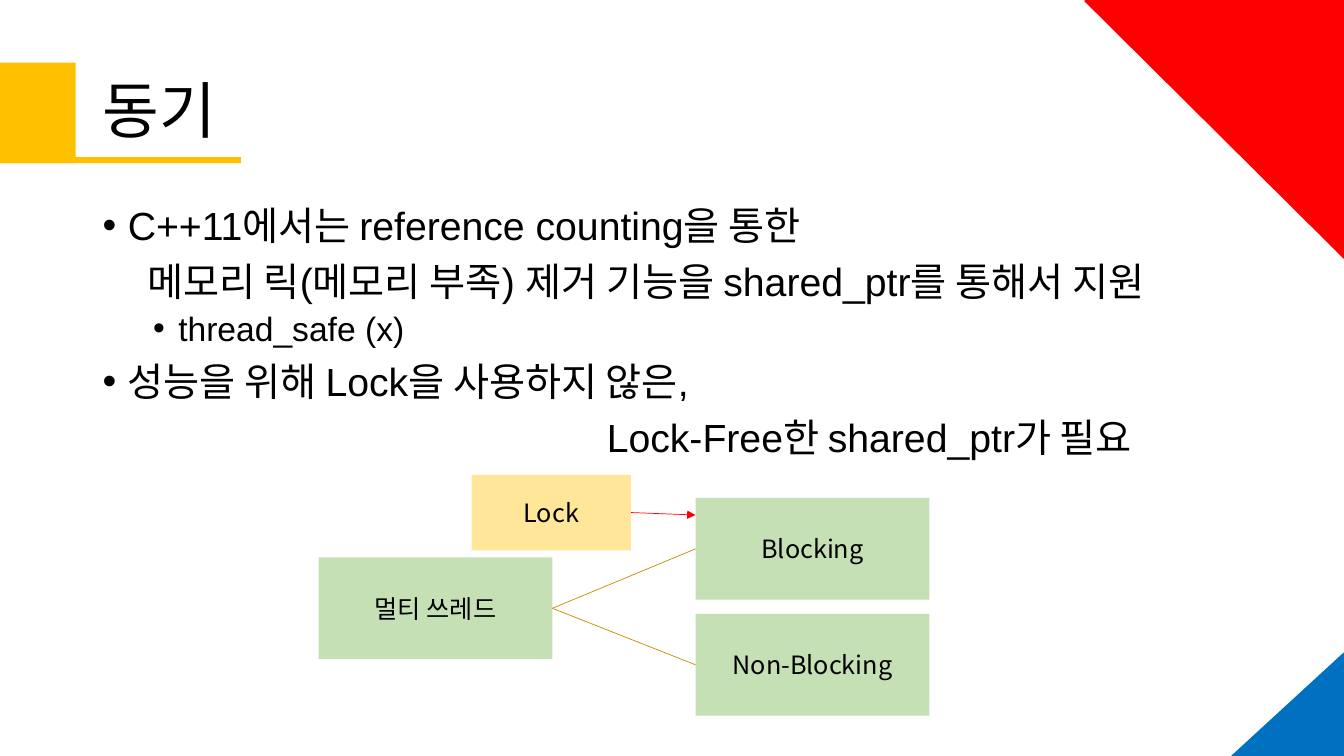
from dataclasses import dataclass
from lxml.etree import SubElement
from pptx import Presentation
from pptx.dml.color import RGBColor
from pptx.enum.shapes import MSO_CONNECTOR, MSO_SHAPE
from pptx.enum.text import MSO_ANCHOR, PP_ALIGN
from pptx.oxml.ns import qn
from pptx.util import Inches, Pt


@dataclass(frozen=True)
class Theme:
    gold: str = "FFC000"
    sand: str = "FFE699"
    green: str = "C5E0B4"
    blue: str = "0070C0"
    red: str = "FF0000"
    brown: str = "BF9000"
    ink: str = "000000"
    latin: str = "Arial"
    hangul: str = "Noto Sans CJK KR"
    head: int = 44
    main: int = 28
    sub: int = 24
    label: int = 18


T = Theme()
WIDE, HIGH = Inches(13.33), Inches(7.5)

TITLE = "동기"
TITLE_AT = (6.9, 5.33, 86.27, 19.33)
BODY_AT = (6.9, 26.67, 86.27, 63.47)
BODY = [
    ("C++11에서는 reference counting을 통한", 0, 0.25, True),
    ("메모리 릭(메모리 부족) 제거 기능을 shared_ptr를 통해서 지원", 0, 0.44, False),
    ("thread_safe (x)", 1, 0.75, True),
    ("성능을 위해 Lock을 사용하지 않은,", 0, 0.25, True),
    ("Lock-Free한 shared_ptr가 필요", 0, 5, False),
]
FLAG = [(0, 8.27, 5.63, 13.33), (0, 20.8, 17.93, 0.8)]
CORNERS = [
    ((91.67, 86.4, 8.33, 13.6), T.blue, 0),
    ((80.8, 0, 19.15, 34.27), T.red, 270),
]
NODE = (17.4, 13.47)
NODES = {
    "Lock": ((35.1, 62.8, 11.85, 10), T.sand),
    "멀티 쓰레드": ((23.7, 73.73, *NODE), T.green),
    "Non-Blocking": ((51.75, 81.2, *NODE), T.green),
    "Blocking": ((51.75, 65.87, *NODE), T.green),
}
LINKS = [("멀티 쓰레드", "Blocking"), ("멀티 쓰레드", "Non-Blocking")]
ARROW_END = (51.75, 68.13)


def place(x, y, w, h):
    return [round(v * side / 100) for v, side in zip((x, y, w, h), (WIDE, HIGH) * 2)]


def style(para, size, face):
    font = para.font
    font.size, font.name = Pt(size), face
    font.color.rgb = RGBColor.from_string(T.ink)
    SubElement(para._p.pPr.find(qn("a:defRPr")), qn("a:ea"), typeface=T.hangul)


def draw(shapes, kind, at, fill, edge=False):
    shape = shapes.add_shape(kind, *place(*at))
    shape.shadow.inherit = False
    shape.fill.solid()
    shape.fill.fore_color.rgb = RGBColor.from_string(fill)
    if edge:
        shape.line.color.rgb = RGBColor.from_string(fill)
        shape.line.width = Pt(1)
    else:
        shape.line.fill.background()
    return shape


def join(shapes, color, start, end=None, point=(0, 0)):
    x, y = place(*point, 0, 0)[:2]
    line = shapes.add_connector(MSO_CONNECTOR.STRAIGHT, x, y, x, y)
    line.begin_connect(start, 3)
    if end is not None:
        end_side = 1
        line.end_connect(end, end_side)
    line.line.color.rgb = RGBColor.from_string(color)
    line.line.width = Pt(0.5)
    SubElement(line._element.spPr, qn("a:effectLst"))
    return line


def add_title(slide):
    title = slide.shapes.title
    title.left, title.top, title.width, title.height = place(*TITLE_AT)
    frame = title.text_frame
    frame.text, frame.vertical_anchor = TITLE, MSO_ANCHOR.MIDDLE
    para = frame.paragraphs[0]
    para.alignment, para.line_spacing = PP_ALIGN.LEFT, 0.9
    style(para, T.head, T.hangul)


def add_body(slide):
    frame = slide.shapes.add_textbox(*place(*BODY_AT)).text_frame
    frame.word_wrap = True
    for i, (text, level, left, dot) in enumerate(BODY):
        para = frame.add_paragraph() if i else frame.paragraphs[0]
        para.text, para.level, para.line_spacing = text, level, 0.9
        para.space_before = Pt(0 if i == 0 else 5 if level else 10)
        props = para._p.get_or_add_pPr()
        props.set("marL", str(Inches(left)))
        props.set("indent", str(Inches(-0.25 if dot else 0)))
        if dot:
            SubElement(props, qn("a:buFont"), typeface=T.latin)
            SubElement(props, qn("a:buChar"), char="•")
        else:
            SubElement(props, qn("a:buNone"))
        style(para, T.sub if level else T.main, T.latin)


def add_decor(slide):
    group = slide.shapes.add_group_shape()
    for at in FLAG:
        draw(group.shapes, MSO_SHAPE.RECTANGLE, at, T.gold)
    for at, fill, turn in CORNERS:
        shape = draw(slide.shapes, MSO_SHAPE.ISOSCELES_TRIANGLE, at, fill, True)
        shape.adjustments[0] = 1
        shape.rotation = turn


def add_chart_tree(slide):
    nodes = {}
    for name, (at, fill) in NODES.items():
        node = draw(slide.shapes, MSO_SHAPE.RECTANGLE, at, fill)
        frame = node.text_frame
        frame.text, frame.vertical_anchor = name, MSO_ANCHOR.MIDDLE
        para = frame.paragraphs[0]
        para.alignment = PP_ALIGN.CENTER
        style(para, T.label, T.hangul)
        nodes[name] = node
    for start, end in LINKS:
        join(slide.shapes, T.brown, nodes[start], nodes[end])
    arrow = join(slide.shapes, T.red, nodes["Lock"], point=ARROW_END)
    SubElement(arrow.line._get_or_add_ln(), qn("a:tailEnd"), type="triangle")


def main():
    deck = Presentation()
    deck.slide_width, deck.slide_height = WIDE, HIGH
    slide = deck.slides.add_slide(deck.slide_layouts[5])
    add_title(slide)
    add_body(slide)
    add_decor(slide)
    add_chart_tree(slide)
    deck.save("out.pptx")


if __name__ == "__main__":
    main()
